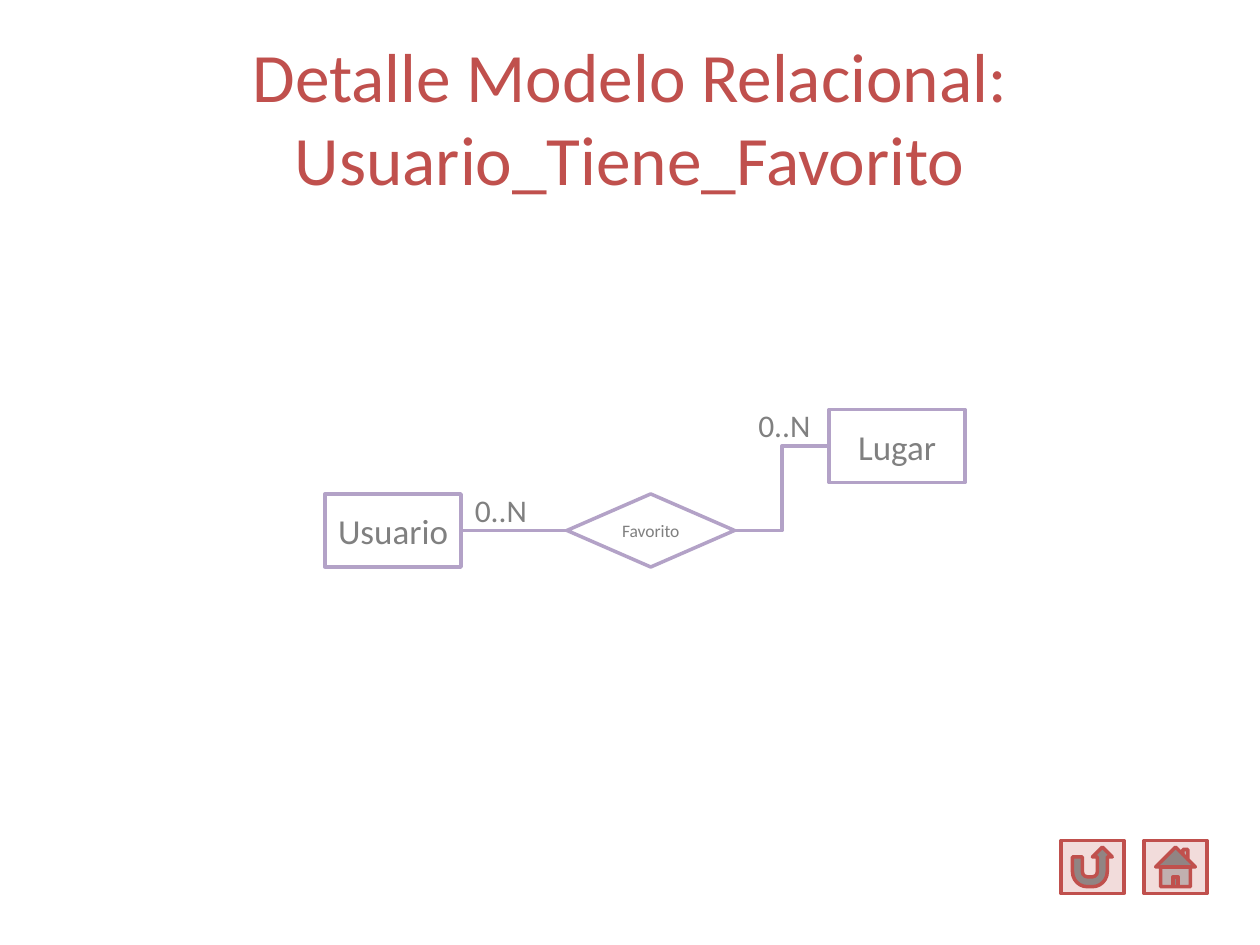
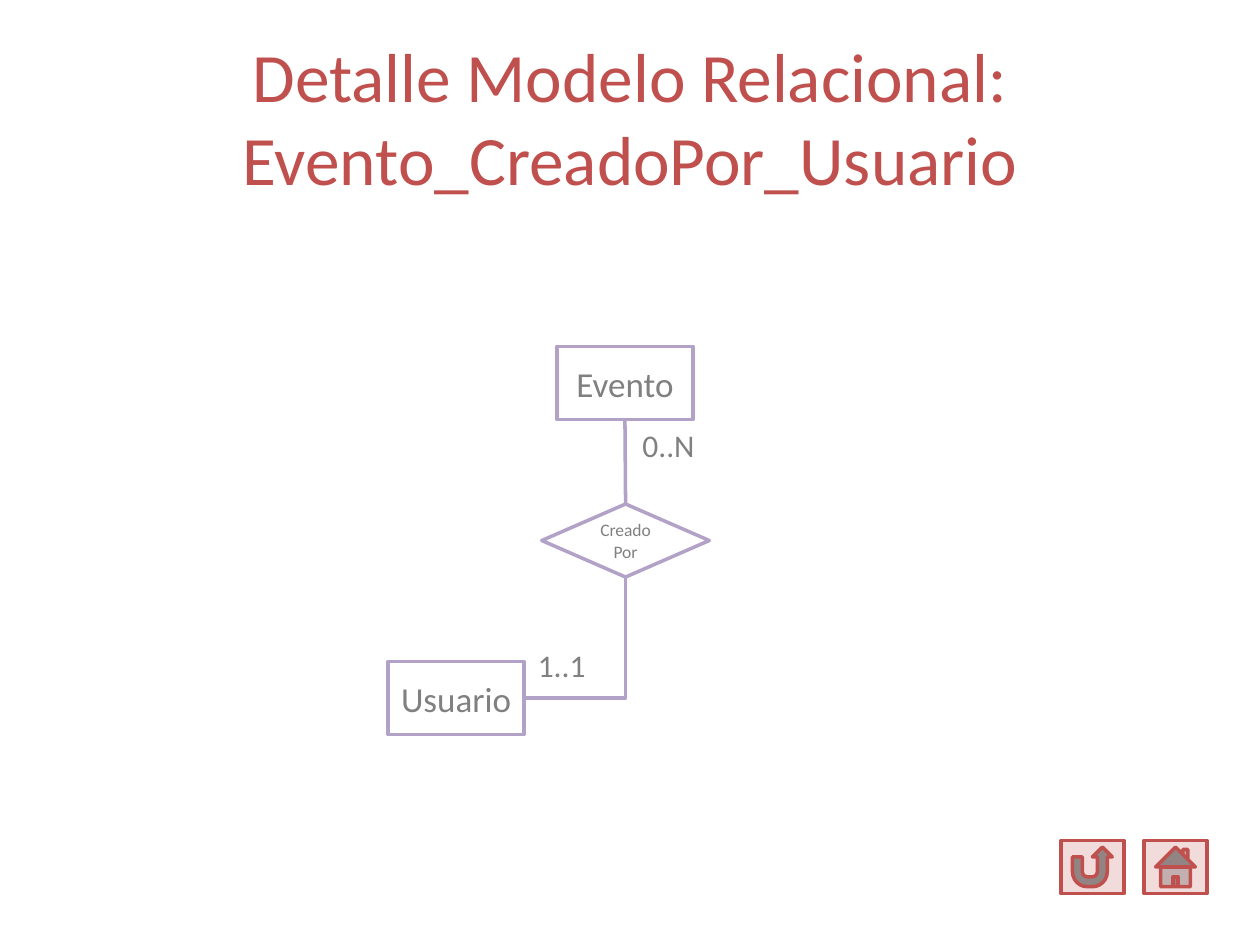
from pptx import Presentation
from pptx.dml.color import RGBColor
from pptx.enum.shapes import MSO_CONNECTOR, MSO_SHAPE
from pptx.enum.text import MSO_ANCHOR, MSO_AUTO_SIZE, PP_ALIGN
from pptx.oxml.ns import qn
from pptx.util import Inches, Pt
from lxml.etree import SubElement

RED = RGBColor(0xC0, 0x50, 0x4D)
PINK = RGBColor(0xF2, 0xDC, 0xDB)
PURPLE = RGBColor(0xB3, 0xA2, 0xC7)
GRAY = RGBColor(0x80, 0x80, 0x80)
WHITE = RGBColor(0xFF, 0xFF, 0xFF)
FONT = "Calibri"
LINE_WIDTH = Pt(2)
NODE_HEIGHT = 0.58
ENTITY_WIDTH = 1.08
RELATION_WIDTH = 1.33
TOP, LEFT, BOTTOM, RIGHT = range(4)


def write_text(text_frame, text, size, color, alignment=PP_ALIGN.LEFT):
    """Fill a text frame with one formatted paragraph."""
    paragraph = text_frame.paragraphs[0]
    paragraph.text = text
    paragraph.alignment = alignment
    for run in paragraph.runs:
        run.font.name = FONT
        run.font.size = Pt(size)
        run.font.color.rgb = color


def add_outlined_shape(slide, kind, left, top, width, height, fill, line):
    """Add a flat preset shape with a coloured outline."""
    shape = slide.shapes.add_shape(
        kind, Inches(left), Inches(top), Inches(width), Inches(height)
    )
    shape.shadow.inherit = False
    shape.fill.solid()
    shape.fill.fore_color.rgb = fill
    shape.line.color.rgb = line
    shape.line.width = LINE_WIDTH
    return shape


def add_node(slide, kind, text, left, top, width, size):
    """Add a labelled node of the diagram."""
    node = add_outlined_shape(slide, kind, left, top, width, NODE_HEIGHT, WHITE, PURPLE)
    node.text_frame.vertical_anchor = MSO_ANCHOR.MIDDLE
    write_text(node.text_frame, text, size, GRAY, PP_ALIGN.CENTER)
    return node


def add_entity(slide, text, left, top):
    """Add an entity rectangle."""
    return add_node(slide, MSO_SHAPE.RECTANGLE, text, left, top, ENTITY_WIDTH, 20)


def add_relation(slide, text, left, top):
    """Add a relation diamond."""
    return add_node(slide, MSO_SHAPE.DIAMOND, text, left, top, RELATION_WIDTH, 10)


def add_cardinality(slide, text, left, top):
    """Add a cardinality label."""
    label = slide.shapes.add_textbox(
        Inches(left), Inches(top), Inches(0.67), Inches(0.4)
    )
    label.text_frame.word_wrap = True
    label.text_frame.auto_size = MSO_AUTO_SIZE.SHAPE_TO_FIT_TEXT
    write_text(label.text_frame, text, 18, GRAY)


def connect(slide, start, start_site, end, end_site, kind=MSO_CONNECTOR.STRAIGHT):
    """Join connection sites of two nodes."""
    connector = slide.shapes.add_connector(kind, 0, 0, 0, 0)
    connector.begin_connect(start, start_site)
    connector.end_connect(end, end_site)
    connector.line.color.rgb = PURPLE
    connector.line.width = LINE_WIDTH
    SubElement(connector.element.spPr, qn("a:effectLst"))
    return connector


def add_favorite_diagram(slide, left, top):
    """Draw the user to place relation from the given corner."""
    add_cardinality(slide, "0..N", left + 3.34, top - 0.08)
    add_cardinality(slide, "0..N", left + 1.09, top + 0.6)
    user = add_entity(slide, "Usuario", left, top + 0.67)
    place = add_entity(slide, "Lugar", left + 4, top)
    favorite = add_relation(slide, "Favorito", left + 1.92, top + 0.67)
    connect(slide, user, RIGHT, favorite, LEFT)
    connect(slide, place, LEFT, favorite, RIGHT, MSO_CONNECTOR.ELBOW)


def add_creator_diagram(slide, left, top):
    """Draw the event to user relation from the given corner."""
    add_cardinality(slide, "0..N", left + 1.92, top + 0.58)
    add_cardinality(slide, "1..1", left + 1.09, top + 2.33)
    user = add_entity(slide, "Usuario", left, top + 2.5)
    event = add_entity(slide, "Evento", left + 1.34, top)
    creator = add_relation(slide, "Creado Por", left + 1.22, top + 1.25)
    elbow = connect(slide, user, RIGHT, creator, BOTTOM, MSO_CONNECTOR.ELBOW)
    elbow.element.spPr.find(qn("a:prstGeom")).set("prst", "bentConnector2")
    connect(slide, event, BOTTOM, creator, TOP)


def add_title(slide, text):
    """Place and format the slide title."""
    title = slide.shapes.title
    title.left, title.top = Inches(0.5), Inches(0.3)
    title.width, title.height = Inches(9), Inches(1.25)
    title.text_frame.auto_size = MSO_AUTO_SIZE.NONE
    title.text_frame.vertical_anchor = MSO_ANCHOR.MIDDLE
    write_text(title.text_frame, text, 39.6, RED, PP_ALIGN.CENTER)


def add_navigation(slide, left, top):
    """Add the return and home buttons."""
    kinds = (MSO_SHAPE.ACTION_BUTTON_RETURN, MSO_SHAPE.ACTION_BUTTON_HOME)
    for index, kind in enumerate(kinds):
        add_outlined_shape(slide, kind, left + index * 0.66, top, 0.5, 0.42, PINK, RED)


def add_relation_slide(presentation, relation_name, add_diagram, left, top):
    """Build a slide that details one relation."""
    slide = presentation.slides.add_slide(presentation.slide_layouts[5])
    add_title(slide, f"Detalle Modelo Relacional:\v{relation_name}")
    add_diagram(slide, left, top)
    add_navigation(slide, 8.42, 6.67)


def main():
    """Build and save the presentation."""
    presentation = Presentation()
    presentation.slide_width = Inches(10)
    presentation.slide_height = Inches(7.5)
    add_relation_slide(
        presentation, "Usuario_Tiene_Favorito", add_favorite_diagram, 2.58, 3.25
    )
    add_relation_slide(
        presentation, "Evento_CreadoPor_Usuario", add_creator_diagram, 3.08, 2.75
    )
    presentation.save("out.pptx")


if __name__ == "__main__":
    main()
